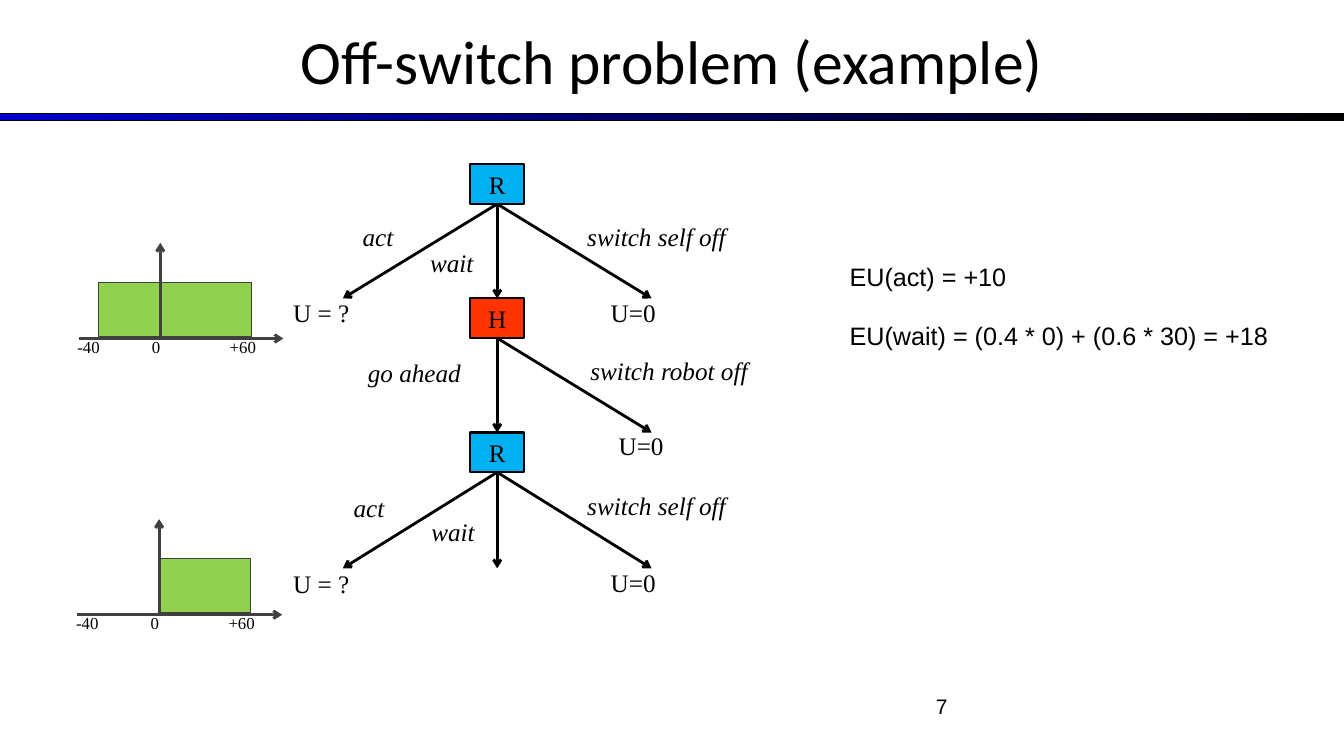
import pptx
import pptx.util
import pptx.dml.color
import pptx.enum.shapes
import pptx.enum.text
import pptx.oxml.ns
import lxml.etree

Cm = pptx.util.Cm
Pt = pptx.util.Pt
RGB = pptx.dml.color.RGBColor
Align = pptx.enum.text.PP_ALIGN
Anchor = pptx.enum.text.MSO_ANCHOR
qn = pptx.oxml.ns.qn

BLACK = RGB(0x00, 0x00, 0x00)
NAVY = RGB(0x00, 0x00, 0xCC)
BLUE = RGB(0x00, 0xB0, 0xF0)
RED = RGB(0xFF, 0x33, 0x00)
GREEN = RGB(0x92, 0xD0, 0x50)
GRAY = RGB(0x40, 0x40, 0x40)

WIDTH, HEIGHT = 33.87, 19.05
MID = 12.53  # centre line of the decision tree
REACH = 3.89  # sideways reach of a slanted branch
BOX_W, BOX_H = 1.35, 1.0


class Canvas:
    serif = "Times New Roman"
    sans = "Arial"
    head = "Calibri"

    def __init__(self, slide):
        self.shapes = slide.shapes

    def label(self, shape, text, size, font, align=Align.LEFT, italic=False, gap=0):
        """Fill a shape with text; gap is the space in points between paragraphs."""
        frame = shape.text_frame
        frame.word_wrap = True
        frame.text = text
        for i, para in enumerate(frame.paragraphs):
            para.alignment = align
            if i:
                para.space_before = Pt(gap)
            for run in para.runs:
                run.font.size = Pt(size)
                run.font.name = font
                run.font.italic = italic
                run.font.color.rgb = BLACK

    def text(self, x, y, w, h, words, size=18, font=serif, **style):
        box = self.shapes.add_textbox(Cm(x), Cm(y), Cm(w), Cm(h))
        self.label(box, words, size, font, **style)
        return box

    def rect(self, x, y, w, h, fill, edge=BLACK, weight=0.75):
        box = self.shapes.add_shape(
            pptx.enum.shapes.MSO_SHAPE.RECTANGLE, Cm(x), Cm(y), Cm(w), Cm(h))
        box.shadow.inherit = False
        box.fill.solid()
        box.fill.fore_color.rgb = fill
        box.line.color.rgb = edge
        box.line.width = Pt(weight)
        return box

    def arrow(self, x1, y1, x2, y2, color=BLACK):
        line = self.shapes.add_connector(
            pptx.enum.shapes.MSO_CONNECTOR.STRAIGHT, Cm(x1), Cm(y1), Cm(x2), Cm(y2))
        line.line.color.rgb = color
        line.line.width = Pt(2)
        props = line._element.spPr
        lxml.etree.SubElement(props.find(qn("a:ln")), qn("a:tailEnd"), type="arrow")
        lxml.etree.SubElement(props, qn("a:effectLst"))

    def title(self, words):
        bar = self.rect(0, 2.87, WIDTH, 0.18, NAVY)
        bar.fill.gradient()
        bar.fill.gradient_angle = 0
        for stop, color in zip(bar.fill.gradient_stops, (NAVY, BLACK)):
            stop.color.rgb = color
        box = self.text(0, -0.08, WIDTH, 3.17, words, 44, self.head, align=Align.CENTER)
        box.text_frame.vertical_anchor = Anchor.MIDDLE

    def node(self, y, name, fill, sides, drop):
        """Draw a player box and one branch for each side (-1 left, 0 down, 1 right)."""
        box = self.rect(MID - BOX_W / 2, y, BOX_W, BOX_H, fill, weight=1.5)
        self.label(box, name, 18, self.serif, align=Align.CENTER)
        box.text_frame.vertical_anchor = Anchor.MIDDLE
        foot = y + BOX_H
        for side in sides:
            self.arrow(MID, foot, MID + side * REACH, foot + drop)

    def prior(self, x, y, start, span):
        """Draw a utility distribution whose axes cross at x, y."""
        self.rect(x + start, y - 1.42, span, 1.37, GREEN, GRAY)
        self.arrow(x - 2.06, y, x + 3.1, y, GRAY)
        self.arrow(x, y - 0.04, x, y - 2.41, GRAY)
        for dx, w, tick in ((-2.34, 1.37, "-40"), (-0.46, 0.91, "0"), (1.5, 1.5, "+60")):
            self.text(x + dx, y - 0.17, w, 0.99, tick, 12)


NODES = [
    (4.14, "R", BLUE, (-1, 0, 1), 2.38),
    (7.52, "H", RED, (0, 1), 2.38),
    (10.9, "R", BLUE, (-1, 0, 1), 2.42),
]
MOVES = [
    (8.89, 5.46, 1.93, "act"),
    (10.59, 6.1, 2.13, "wait"),
    (14.55, 5.46, 5.44, "switch self off"),
    (9.02, 8.89, 3.96, "go ahead"),
    (14.63, 8.84, 6.05, "switch robot off"),
    (8.66, 12.29, 1.93, "act"),
    (10.62, 12.88, 2.13, "wait"),
    (14.55, 12.24, 5.44, "switch self off"),
]
PAYOFFS = [
    (7.14, 7.37, 2.46, "U = ?"),
    (15.14, 7.37, 2.11, "U=0"),
    (15.34, 10.72, 2.11, "U=0"),
    (7.14, 14.2, 2.46, "U = ?"),
    (15.14, 14.17, 2.11, "U=0"),
]


def main():
    deck = pptx.Presentation()
    deck.slide_width, deck.slide_height = Cm(WIDTH), Cm(HEIGHT)
    page = Canvas(deck.slides.add_slide(deck.slide_layouts[6]))

    page.title("Off-switch problem (example)")
    page.text(18.21, 17.35, 5.92, 1.32, "7", 15, page.sans, align=Align.RIGHT)
    for node in NODES:
        page.node(*node)
    for x, y, w, words in MOVES:
        page.text(x, y, w, 1.3, words, italic=True)
    for x, y, w, words in PAYOFFS:
        page.text(x, y, w, 1.3, words)
    page.prior(4.04, 8.53, -1.55, 3.86)
    page.prior(4.01, 15.49, 0, 2.31)
    page.text(21.16, 6.45, 11.89, 2.57,
              "EU(act) = +10\nEU(wait) = (0.4 * 0) + (0.6 * 30) = +18",
              18, page.sans, gap=21)

    deck.save("out.pptx")


if __name__ == "__main__":
    main()
